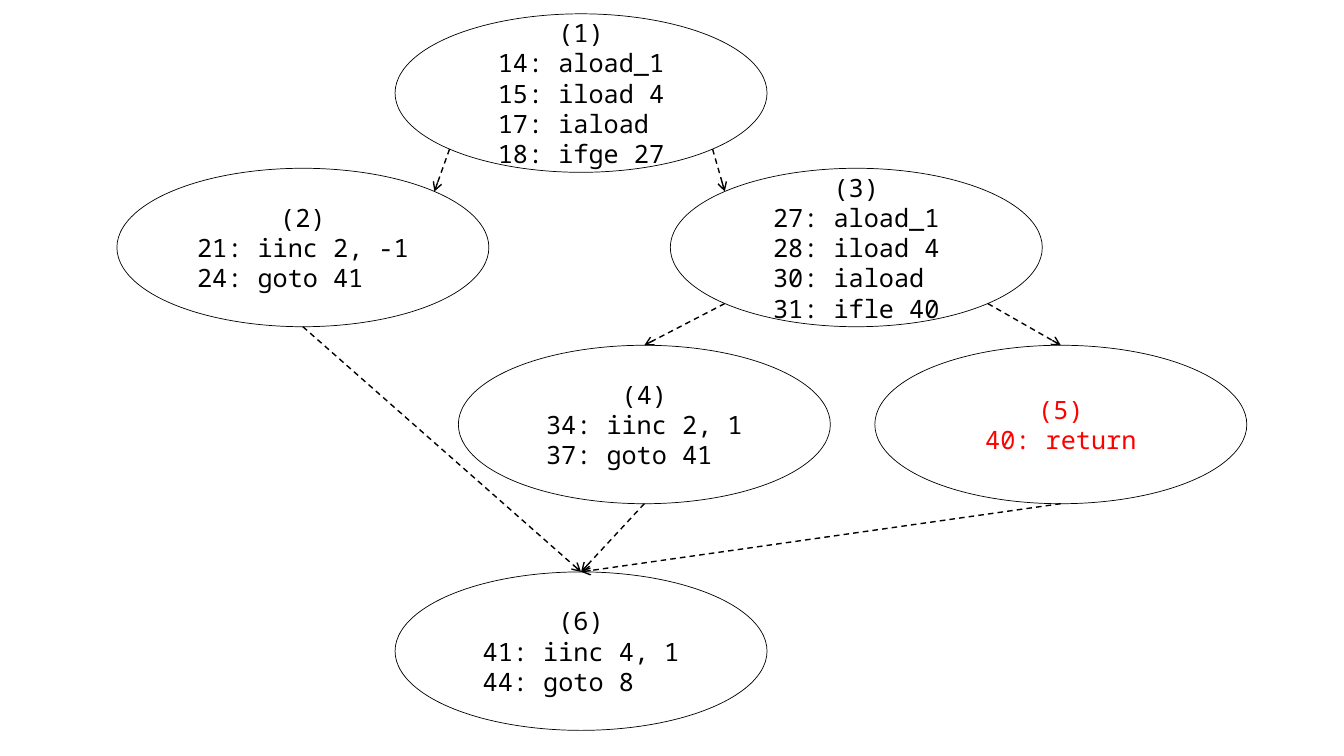
import math

import pptx
import pptx.dml.color
import pptx.enum.dml
import pptx.enum.shapes
import pptx.enum.text
import pptx.util
from lxml import etree
from pptx.oxml.ns import qn

Pt = pptx.util.Pt

COLORS = {"ink": "000000", "exit": "FF0000"}
FONT = "Noto Sans Mono"
FONT_SIZE = 18
CHARACTER_WIDTH = 0.6 * FONT_SIZE
NODE_WIDTH, NODE_HEIGHT = 265.7, 113.2

# Block number: left, top, colour, instructions
BLOCKS = {
    1: (282.2, 9.9, "ink", ["14: aload_1", "15: iload 4", "17: iaload", "18: ifge 27"]),
    2: (83.5, 120.2, "ink", ["21: iinc 2, -1", "24: goto 41"]),
    3: (478.8, 120.2, "ink", ["27: aload_1", "28: iload 4", "30: iaload", "31: ifle 40"]),
    4: (327.4, 246.6, "ink", ["34: iinc 2, 1", "37: goto 41"]),
    5: (624.9, 246.6, "exit", ["40: return"]),
    6: (282.2, 408.5, "ink", ["41: iinc 4, 1", "44: goto 8"]),
}

# Source block, angle where the edge leaves, target block, angle where it arrives
EDGES = [
    (1, 135, 2, -45),
    (1, 45, 3, -135),
    (2, 90, 6, -90),
    (3, 135, 4, -90),
    (3, 45, 5, -90),
    (4, 90, 6, -90),
    (5, 90, 6, -90),
]


def color(name):
    """Return the RGB value of a named colour."""
    return pptx.dml.color.RGBColor.from_string(COLORS[name])


def rim_point(number, angle):
    """Return the point on a block's ellipse, angles running clockwise from the right."""
    left, top = BLOCKS[number][:2]
    turn = math.radians(angle)
    return (Pt(left + NODE_WIDTH / 2 * (1 + math.cos(turn))),
            Pt(top + NODE_HEIGHT / 2 * (1 + math.sin(turn))))


def add_block(slide, number, left, top, color_name, instructions):
    """Draw a basic block: a centred number over left-aligned, centred code."""
    shape = slide.shapes.add_shape(
        pptx.enum.shapes.MSO_SHAPE.OVAL, Pt(left), Pt(top), Pt(NODE_WIDTH), Pt(NODE_HEIGHT))
    shape.shadow.inherit = False
    shape.fill.background()
    shape.line.color.rgb = color("ink")
    shape.line.width = Pt(0.5)

    frame = shape.text_frame
    frame.word_wrap = True
    frame.vertical_anchor = pptx.enum.text.MSO_ANCHOR.MIDDLE
    frame.margin_left = frame.margin_right = frame.margin_top = frame.margin_bottom = 0
    frame.text = "\n".join([f"({number})"] + instructions)

    code_width = max(map(len, instructions)) * CHARACTER_WIDTH
    indent = Pt((NODE_WIDTH * math.sqrt(0.5) - code_width) / 2)
    for index, paragraph in enumerate(frame.paragraphs):
        paragraph.font.name = FONT
        paragraph.font.size = Pt(FONT_SIZE)
        paragraph.font.color.rgb = color(color_name)
        if index == 0:
            paragraph.alignment = pptx.enum.text.PP_ALIGN.CENTER
        else:
            paragraph.alignment = pptx.enum.text.PP_ALIGN.LEFT
            paragraph._p.get_or_add_pPr().set("marL", str(int(indent)))


def add_edge(slide, source, leave_angle, target, arrive_angle):
    """Draw a dashed arrow between two blocks."""
    connector = slide.shapes.add_connector(
        pptx.enum.shapes.MSO_CONNECTOR.STRAIGHT,
        *rim_point(source, leave_angle), *rim_point(target, arrive_angle))
    connector.line.color.rgb = color("ink")
    connector.line.width = Pt(1)
    connector.line.dash_style = pptx.enum.dml.MSO_LINE.DASH
    etree.SubElement(connector.line._get_or_add_ln(), qn("a:tailEnd"), type="arrow")
    etree.SubElement(connector._element.spPr, qn("a:effectLst"))


presentation = pptx.Presentation()
presentation.slide_width = Pt(960)
presentation.slide_height = Pt(540)
slide = presentation.slides.add_slide(presentation.slide_layouts[6])
for block_number, block in BLOCKS.items():
    add_block(slide, block_number, *block)
for edge in EDGES:
    add_edge(slide, *edge)
presentation.save("out.pptx")
